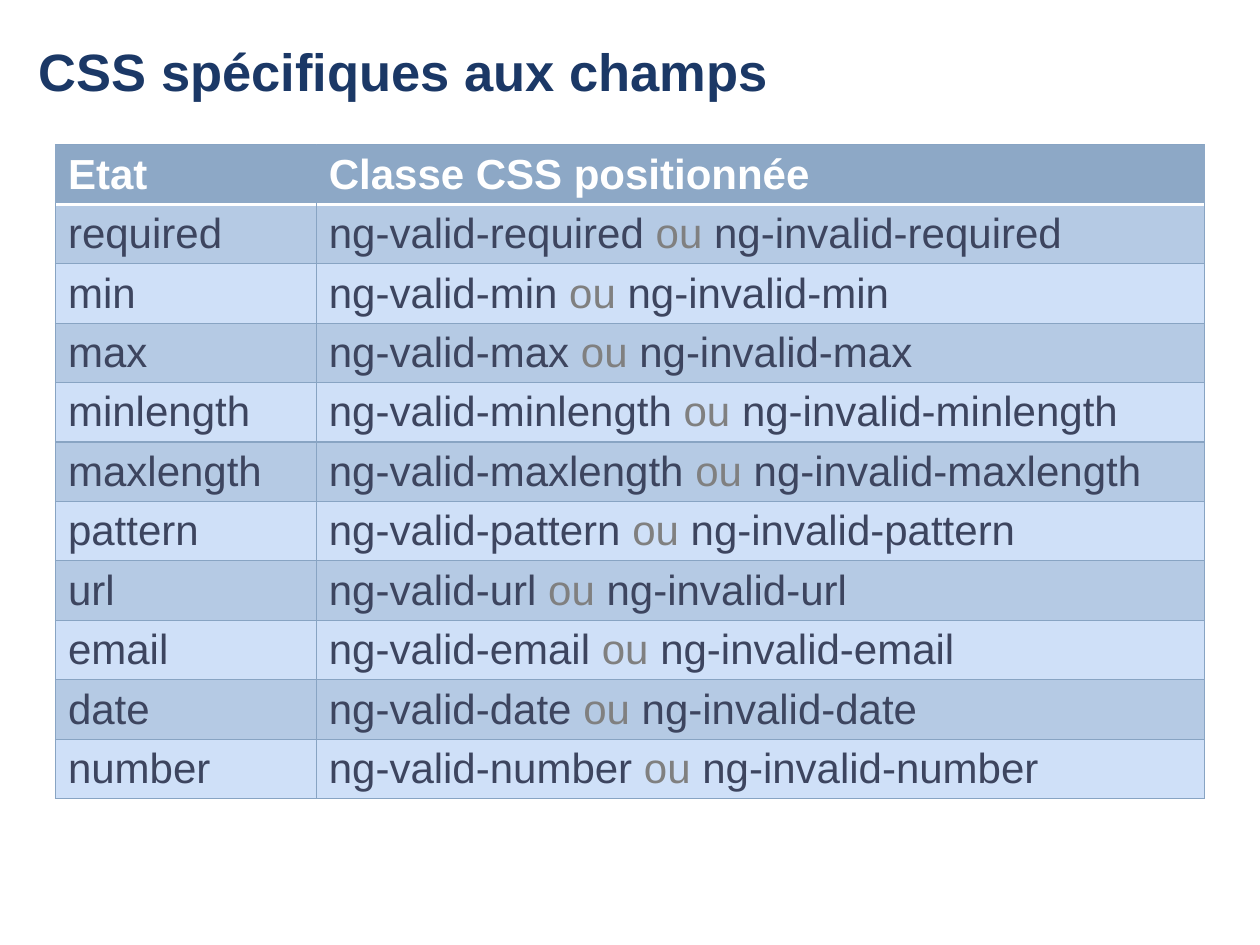
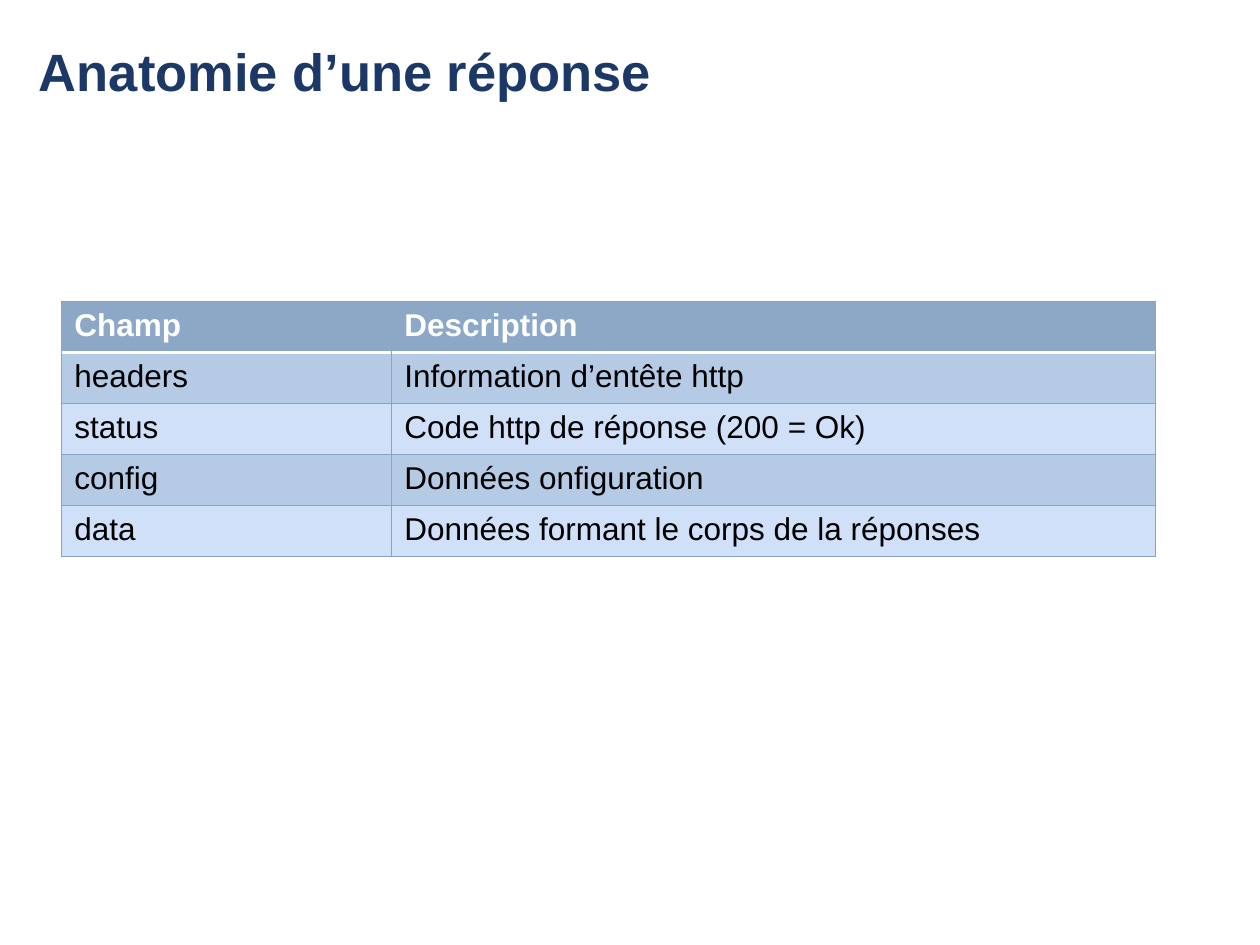
from dataclasses import dataclass

import pptx
import pptx.dml.color
import pptx.oxml
import pptx.oxml.ns
import pptx.util
from pptx.util import Inches

Run = tuple[str, str]


@dataclass(frozen=True)
class Theme:
    font: str = "Arial"
    navy: str = "1B3866"
    white: str = "FFFFFF"
    black: str = "000000"
    slate: str = "3D455F"
    grey: str = "808080"
    head: str = "8DA8C6"
    band: str = "B5CAE4"
    pale: str = "CFE0F8"
    edge: str = "88A4C3"
    title: int = 30
    large: int = 24
    small: int = 18
    thin: float = 0.75
    thick: float = 2


@dataclass(frozen=True)
class Grid:
    left: float
    top: float
    cols: tuple[float, ...]
    height: float
    size: int
    head: tuple[str, ...]
    body: list[list[list[Run]]]


THEME = Theme()


def write(frame, runs: list[Run], size: int, bold: bool) -> None:
    para = frame.paragraphs[0]
    for text, color in runs:
        run = para.add_run()
        run.text = text
        form = {"name": THEME.font, "size": pptx.util.Pt(size), "bold": bold}
        for key, value in form.items():
            setattr(run.font, key, value)
        run.font.color.rgb = pptx.dml.color.RGBColor.from_string(color)


def add_title(slide, text: str) -> None:
    box = slide.shapes.add_textbox(Inches(0.31), Inches(0.31), Inches(9.37), Inches(0.94))
    form = {
        "margin_left": 0,
        "margin_top": 0,
        "margin_right": 0,
        "margin_bottom": 0,
        "word_wrap": True,
    }
    for key, value in form.items():
        setattr(box.text_frame, key, value)
    write(box.text_frame, [(text, THEME.navy)], THEME.title, True)


def add_edge(cell, side: str, color: str, width: float) -> None:
    space = pptx.oxml.ns.nsdecls("a")
    line = pptx.oxml.parse_xml(
        f'<a:{side} {space} w="{pptx.util.Pt(width)}">'
        f'<a:solidFill><a:srgbClr val="{color}"/></a:solidFill></a:{side}>'
    )
    cell._tc.get_or_add_tcPr().append(line)


def style_cell(cell, row: int) -> None:
    thin, thick = (THEME.edge, THEME.thin), (THEME.white, THEME.thick)
    flank = (THEME.head, THEME.thin) if row == 0 else thin
    edges = {
        "lnL": flank,
        "lnR": flank,
        "lnT": thick if row == 1 else thin,
        "lnB": thick if row == 0 else thin,
    }
    for side, (color, width) in edges.items():
        add_edge(cell, side, color, width)
    fill = THEME.head if row == 0 else (THEME.pale, THEME.band)[row % 2]
    cell.fill.solid()
    cell.fill.fore_color.rgb = pptx.dml.color.RGBColor.from_string(fill)
    cell.margin_bottom = Inches(0.02)


def add_grid(slide, grid: Grid) -> None:
    rows = [[[(text, THEME.white)] for text in grid.head], *grid.body]
    table = slide.shapes.add_table(
        len(rows), len(grid.cols), Inches(grid.left), Inches(grid.top),
        Inches(sum(grid.cols)), Inches(grid.height),
    ).table
    for col, width in zip(table.columns, grid.cols):
        col.width = Inches(width)
    for i, cells in enumerate(rows):
        table.rows[i].height = Inches(grid.height / len(rows))
        for j, runs in enumerate(cells):
            cell = table.cell(i, j)
            style_cell(cell, i)
            write(cell.text_frame, runs, grid.size, i == 0)


def state_row(name: str) -> list[list[Run]]:
    return [
        [(name, THEME.slate)],
        [
            (f"ng-valid-{name} ", THEME.slate),
            ("ou ", THEME.grey),
            (f"ng-invalid-{name}", THEME.slate),
        ],
    ]


def field_row(name: str, note: str) -> list[list[Run]]:
    return [[(name, THEME.black)], [(note, THEME.black)]]


STATES = (
    "required", "min", "max", "minlength", "maxlength",
    "pattern", "url", "email", "date", "number",
)
FIELDS = {
    "headers": "Information d’entête http",
    "status": "Code http de réponse (200 = Ok)",
    "config": "Données onfiguration",
    "data": "Données formant le corps de la réponses",
}
SLIDES = {
    "CSS spécifiques aux champs": Grid(
        0.44, 1.15, (2.07, 7.05), 5.19, THEME.large,
        ("Etat", "Classe CSS positionnée"),
        [state_row(name) for name in STATES],
    ),
    "Anatomie d’une réponse": Grid(
        0.49, 2.39, (2.62, 6.06), 2.03, THEME.small,
        ("Champ", "Description"),
        [field_row(name, note) for name, note in FIELDS.items()],
    ),
}


def main() -> None:
    deck = pptx.Presentation()
    deck.slide_width, deck.slide_height = Inches(10), Inches(7.5)
    for title, grid in SLIDES.items():
        slide = deck.slides.add_slide(deck.slide_layouts[6])
        add_title(slide, title)
        add_grid(slide, grid)
    deck.save("out.pptx")


if __name__ == "__main__":
    main()
